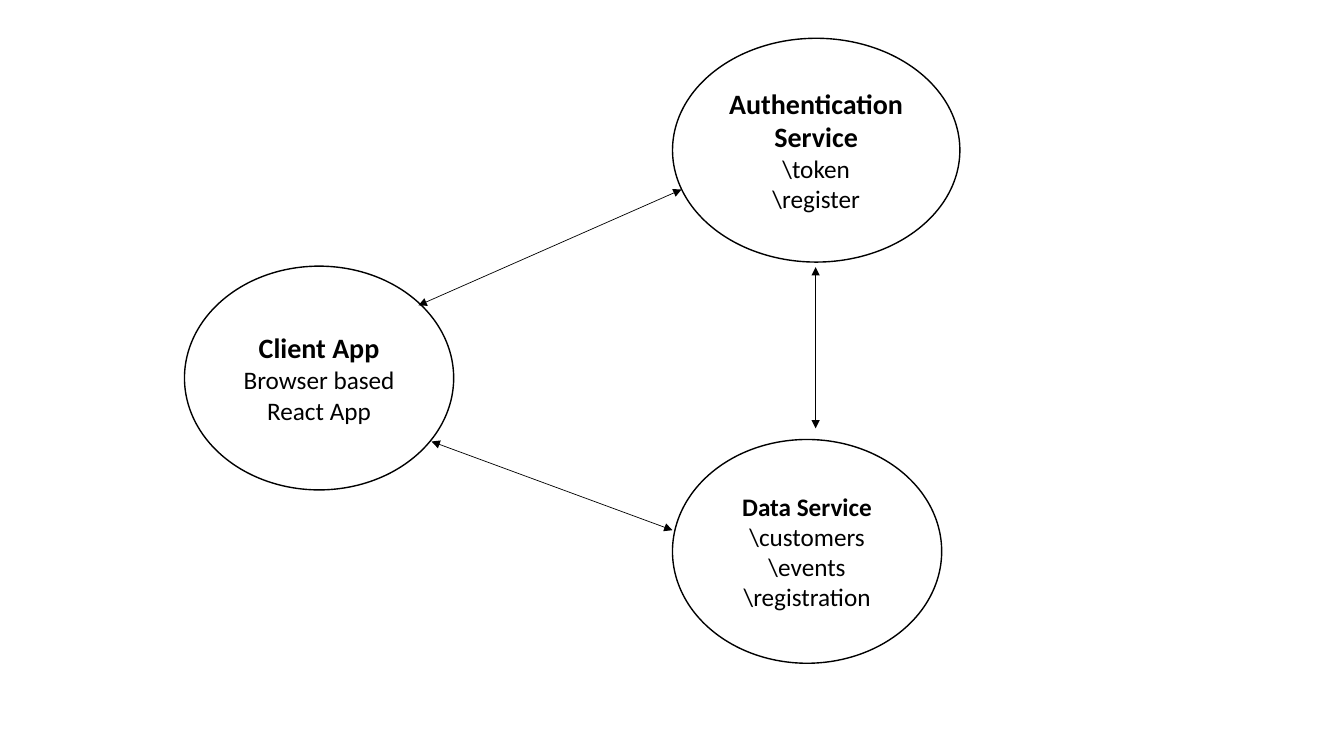
"""Build a slide showing how the client app and its two services connect."""
import pptx
import pptx.dml.color
import pptx.enum.shapes
import pptx.enum.text
import pptx.oxml.ns
import pptx.util
from lxml import etree

Inches = pptx.util.Inches
Pt = pptx.util.Pt

FONT = "Calibri"
BLACK = "000000"
WHITE = "FFFFFF"
BODY_SIZE = 18
NODE_HEIGHT = 2.22

NODES = [
    {"left": 1.83, "top": 2.64, "width": 2.67, "title": "Client App", "title_size": 20,
     "details": ["Browser based", "React App"]},
    {"left": 6.67, "top": 0.38, "width": 2.85, "title": "Authentication Service", "title_size": 20,
     "details": ["\\token", "\\register"]},
    {"left": 6.67, "top": 4.36, "width": 2.67, "title": "Data Service", "title_size": 18,
     "details": ["\\customers", "\\events", "\\registration"]},
]

ARROWS = [
    ((4.15, 3.03), (6.76, 1.88)),
    ((4.28, 4.38), (6.67, 5.26)),
    ((8.09, 2.65), (8.09, 4.25)),
]


def color(value):
    return pptx.dml.color.RGBColor.from_string(value)


def set_line(line, width):
    line.color.rgb = color(BLACK)
    line.width = Pt(width)


def add_node(slide, node):
    shape = slide.shapes.add_shape(
        pptx.enum.shapes.MSO_SHAPE.OVAL,
        Inches(node["left"]), Inches(node["top"]), Inches(node["width"]), Inches(NODE_HEIGHT))
    shape.shadow.inherit = False
    shape.fill.solid()
    shape.fill.fore_color.rgb = color(WHITE)
    set_line(shape.line, 1)
    frame = shape.text_frame
    frame.word_wrap = True
    frame.vertical_anchor = pptx.enum.text.MSO_ANCHOR.MIDDLE
    frame.text = "\n".join([node["title"], *node["details"]])
    for index, paragraph in enumerate(frame.paragraphs):
        is_title = index == 0
        paragraph.alignment = pptx.enum.text.PP_ALIGN.CENTER
        paragraph.font.name = FONT
        paragraph.font.size = Pt(node["title_size"] if is_title else BODY_SIZE)
        paragraph.font.bold = is_title
        paragraph.font.color.rgb = color(BLACK)


def add_arrow(slide, start, end):
    connector = slide.shapes.add_connector(
        pptx.enum.shapes.MSO_CONNECTOR.STRAIGHT,
        *(Inches(value) for value in (*start, *end)))
    set_line(connector.line, 0.5)
    properties = connector._element.spPr
    outline = properties.find(pptx.oxml.ns.qn("a:ln"))
    for tag in ("a:headEnd", "a:tailEnd"):
        etree.SubElement(outline, pptx.oxml.ns.qn(tag), type="triangle")
    etree.SubElement(properties, pptx.oxml.ns.qn("a:effectLst"))


def main():
    presentation = pptx.Presentation()
    presentation.slide_width = Inches(13.33)
    presentation.slide_height = Inches(7.5)
    slide = presentation.slides.add_slide(presentation.slide_layouts[6])
    for node in NODES:
        add_node(slide, node)
    for start, end in ARROWS:
        add_arrow(slide, start, end)
    presentation.save("out.pptx")


if __name__ == "__main__":
    main()
